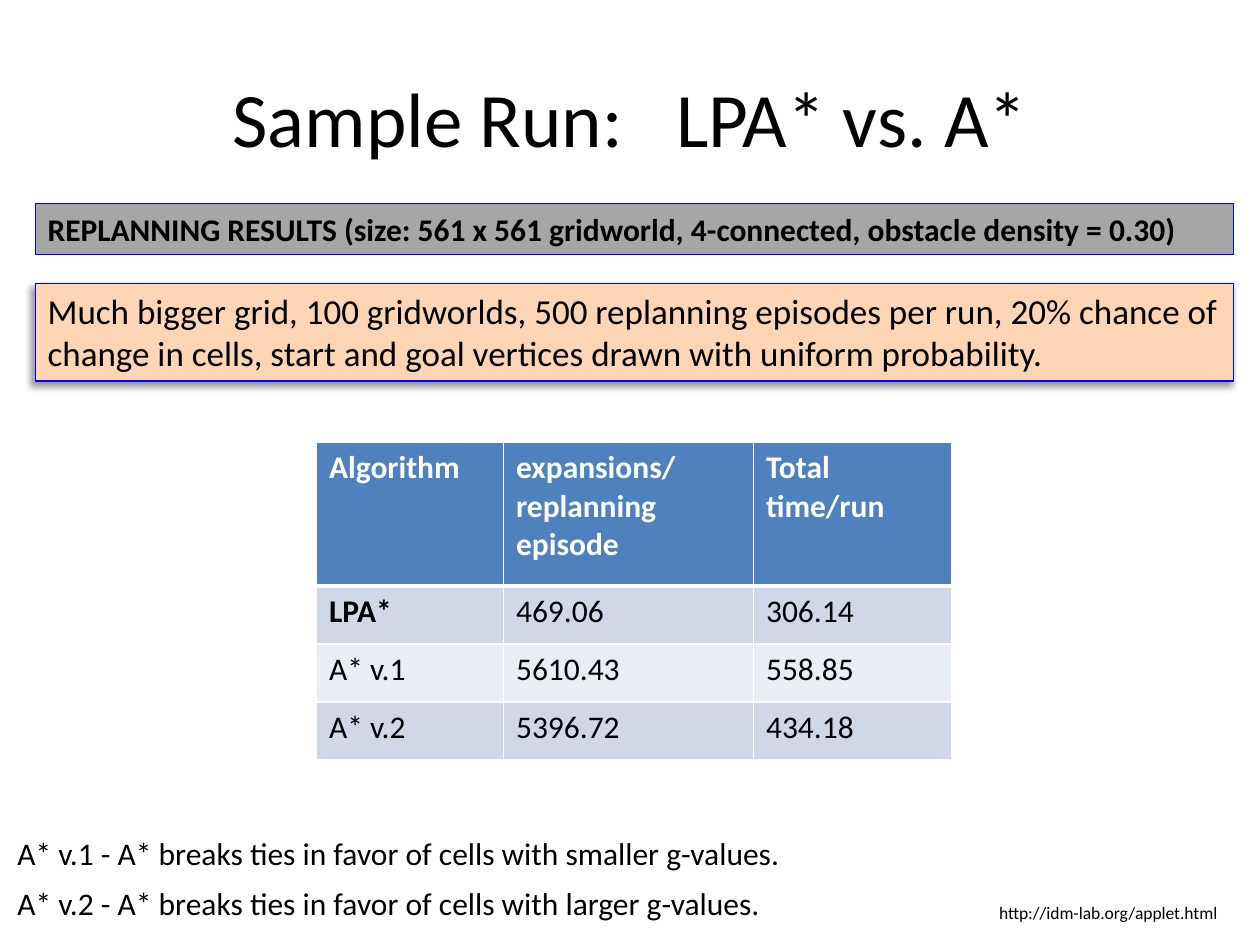
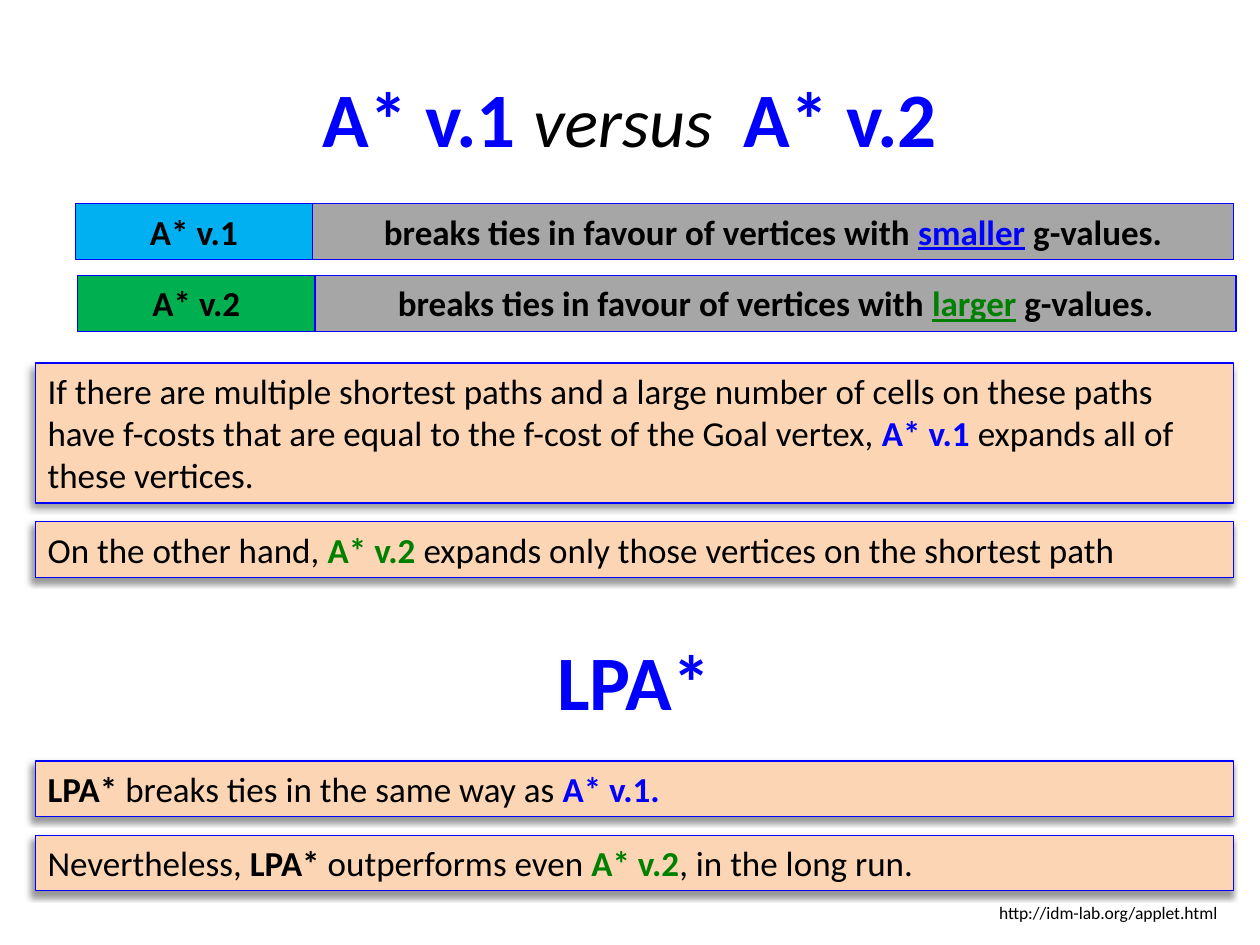
import pptx
import pptx.dml.color
import pptx.enum.shapes
import pptx.enum.text
import pptx.oxml
import pptx.oxml.ns
import pptx.util

Cm = pptx.util.Cm
Pt = pptx.util.Pt
RGBColor = pptx.dml.color.RGBColor
ALIGN = pptx.enum.text.PP_ALIGN
ANCHOR = pptx.enum.text.MSO_ANCHOR
SIZING = pptx.enum.text.MSO_AUTO_SIZE

BLACK = RGBColor(0x00, 0x00, 0x00)
WHITE = RGBColor(0xFF, 0xFF, 0xFF)
BLUE = RGBColor(0x00, 0x00, 0xFF)
GREEN = RGBColor(0x00, 0x80, 0x00)
GREY = RGBColor(0xA6, 0xA6, 0xA6)
PEACH = RGBColor(0xFC, 0xD5, 0xB5)
SKY = RGBColor(0x00, 0xB0, 0xF0)
LEAF = RGBColor(0x00, 0xB0, 0x50)
HEADER = RGBColor(0x4F, 0x81, 0xBD)
BANDS = RGBColor(0xE9, 0xED, 0xF4), RGBColor(0xD0, 0xD8, 0xE8)

FONT = "Calibri"
LEFT, WIDTH = 0.71, 24.16
TOP, LINE = 4.11, 1.12
FIRST = {"bold": True, "color": BLUE}
SECOND = {"bold": True, "color": GREEN}
STRONG = {"bold": True}

NS = pptx.oxml.ns.nsdecls("a")
SHADOW = (f'<a:effectLst {NS}><a:outerShdw blurRad="50800" dist="38100" dir="8100000" '
          'algn="tr" rotWithShape="0"><a:srgbClr val="000000"><a:alpha val="40000"/>'
          '</a:srgbClr></a:outerShdw></a:effectLst>')


def write(frame, parts, size, color=BLACK, bold=False, align=ALIGN.LEFT):
    """Fill the first paragraph; a part is a text with its own font settings.

    The setting "gap" widens the part's spacing, in points.
    """
    line = frame.paragraphs[0]
    line.alignment = align
    line.font.name, line.font.size = FONT, Pt(size)
    line.font.bold, line.font.color.rgb = bold, color
    for text, style in parts:
        run = line.add_run()
        run.text = text
        for name, value in style.items():
            if name == "color":
                run.font.color.rgb = value
            elif name == "gap":
                run._r.get_or_add_rPr().set("spc", str(value * 100))
            else:
                setattr(run.font, name, value)


def box(slide, place, parts, size, fill=None, shade=False, **style):
    """Add a framed box, or plain unwrapped text when there is no fill."""
    spot = [Cm(n) for n in place]
    if fill is None:
        shape = slide.shapes.add_textbox(*spot)
    else:
        shape = slide.shapes.add_shape(pptx.enum.shapes.MSO_SHAPE.RECTANGLE, *spot)
        shape.fill.solid()
        shape.fill.fore_color.rgb = fill
        shape.line.color.rgb, shape.line.width = BLUE, Pt(0.75)
        if shade:
            shape._element.spPr.append(pptx.oxml.parse_xml(SHADOW))
        else:
            shape.shadow.inherit = False
    frame = shape.text_frame
    frame.word_wrap = fill is not None
    frame.auto_size = SIZING.SHAPE_TO_FIT_TEXT
    frame.vertical_anchor = ANCHOR.TOP
    write(frame, parts, size, **style)
    return shape


deck = pptx.Presentation()
deck.slide_width, deck.slide_height = Cm(25.4), Cm(19.05)

titles = [
    [("Sample Run:", {}), (" ", {"gap": 20}), ("LPA* vs. A*", {})],
    [("A* v.1 ", FIRST), ("versus", {"italic": True, "size": Pt(40)}),
     (" ", {"size": Pt(40), "gap": 9}), ("A* v.2", FIRST)],
]
slides = []
for parts in titles:
    slide = deck.slides.add_slide(deck.slide_layouts[5])
    title = slide.shapes.title
    title.left, title.top, title.width, title.height = Cm(1.27), Cm(0.76), Cm(22.86), Cm(3.18)
    title.text_frame.vertical_anchor = ANCHOR.MIDDLE
    title.text_frame.auto_size = SIZING.NONE
    write(title.text_frame, parts, 44, align=ALIGN.CENTER)
    box(slide, (19.89, 18.06, 4.98, 0.69), [("http://idm-lab.org/applet.html", {})], 10)
    slides.append(slide)
run, ties = slides

# Slide 1: replanning results
box(run, (LEFT, TOP, WIDTH, 1.02),
    [("REPLANNING RESULTS (size: 561 x 561 gridworld, 4-connected, "
      "obstacle density = 0.30)", {})], 18, GREY, bold=True)
box(run, (LEFT, 5.72, WIDTH, 1.96),
    [("Much bigger grid, 100 gridworlds, 500 replanning episodes per run, 20% chance of "
      "change in cells, start and goal vertices drawn with uniform probability.", {})],
    20, PEACH, True)

results = [
    ("Algorithm", "expansions/replanning episode", "Total time/run"),
    ("LPA*", "469.06", "306.14"),
    ("A* v.1", "5610.43", "558.85"),
    ("A* v.2", "5396.72", "434.18"),
]
table = run.shapes.add_table(4, 3, Cm(6.38), Cm(8.92), Cm(12.8), Cm(6.4)).table
for column, width in zip(table.columns, (3.77, 5.04, 3.99)):
    column.width = Cm(width)
for r, row in enumerate(results):
    table.rows[r].height = Cm(1.17 if r else 2.89)
    for c, text in enumerate(row):
        cell = table.cell(r, c)
        for side in "LRTB":
            thick = (r, side) in ((0, "B"), (1, "T"))
            cell._tc.get_or_add_tcPr().append(pptx.oxml.parse_xml(
                f'<a:ln{side} {NS} w="{Pt(3 if thick else 1)}"><a:solidFill>'
                f'<a:srgbClr val="{WHITE}"/></a:solidFill></a:ln{side}>'))
        cell.fill.solid()
        cell.fill.fore_color.rgb = BANDS[r % 2] if r else HEADER
        write(cell.text_frame, [(text, {})], 18, BLACK if r else WHITE,
              r == 0 or text == "LPA*")

for top, width, name, kind in ((16.69, 16.38, "v.1", "smaller"), (17.7, 16.0, "v.2", "larger")):
    box(run, (0.1, top, width, 1.02),
        [(f"A* {name} - A* breaks ties in favor of cells with {kind} g-values.", {})], 18)

# Slide 2: how ties are broken
rules = [
    (1.52, TOP, "A* v.1", SKY, "smaller", BLUE),
    (1.57, 5.56, "A* v.2", LEAF, "larger", GREEN),
]
for left, top, name, fill, kind, color in rules:
    box(ties, (left, top, 4.78, LINE), [(name, {})], 20, fill, bold=True, align=ALIGN.CENTER)
    box(ties, (left + 4.78, top, 18.57, LINE),
        [("breaks ties in favour of vertices with ", {}),
         (kind, {"color": color, "underline": True}), (" g-values.", {})],
        20, GREY, bold=True, align=ALIGN.CENTER)

notes = [
    (7.32, 2.82, [("If there are multiple shortest paths and a large number of cells on these "
                   "paths have f-costs that are equal to the f-cost of the Goal vertex, ", {}),
                  ("A* v.1 ", FIRST), ("expands all of these vertices.", {})]),
    (10.52, LINE, [("On the other hand, ", {}), ("A* v.2 ", SECOND),
                   ("expands only those vertices on the shortest path", {})]),
    (15.34, LINE, [("LPA* ", STRONG), ("breaks ties in the same way as ", {}),
                   ("A* v.1.", FIRST)]),
    (16.84, LINE, [("Nevertheless, ", {}), ("LPA* ", STRONG), ("outperforms even ", {}),
                   ("A* v.2", SECOND), (", in the long run.", {})]),
]
for top, height, parts in notes:
    box(ties, (LEFT, top, WIDTH, height), parts, 20, PEACH, True)

head = box(ties, (1.35, 12.12, 22.86, 3.18), [("LPA*", {})], 44,
           color=BLUE, bold=True, align=ALIGN.CENTER)
head.text_frame.word_wrap = True
head.text_frame.auto_size = SIZING.NONE
head.text_frame.vertical_anchor = ANCHOR.MIDDLE

deck.save("out.pptx")
